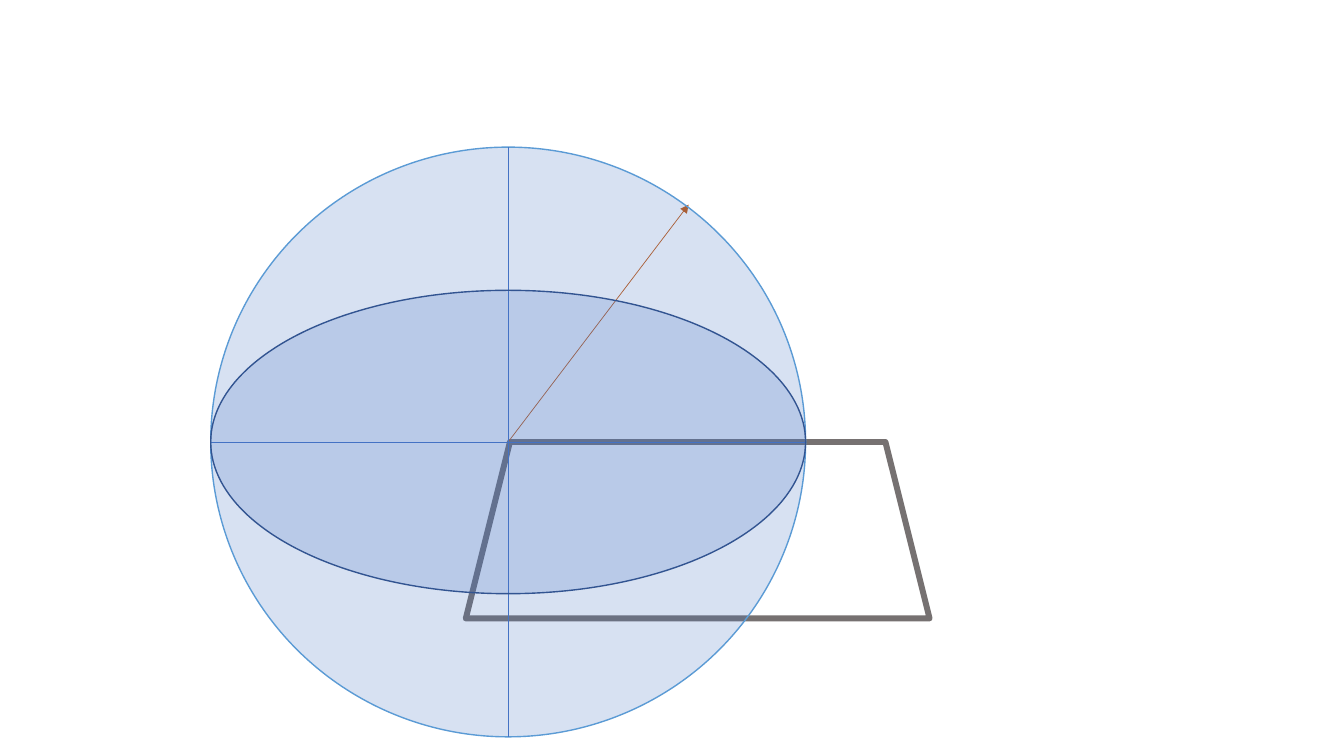
"""Build a slide with a sphere, its equator, a radius and a ground plane."""
from lxml import etree
from pptx import Presentation
from pptx.dml.color import RGBColor
from pptx.enum.shapes import MSO_CONNECTOR, MSO_SHAPE
from pptx.oxml.ns import qn
from pptx.util import Inches, Pt

ELLIPSE, TRAPEZOID = MSO_SHAPE.OVAL, MSO_SHAPE.TRAPEZOID
STRAIGHT = MSO_CONNECTOR.STRAIGHT
BLANK_LAYOUT = 6


def rgb(value):
    return RGBColor.from_string(value)


class Diagram:
    blue, sky, navy = "4472C4", "5B9BD5", "325491"
    orange, gray, white = "C55A11", "767171", "FFFFFF"
    thin, outline, thick = 0.5, 1, 4.25

    def __init__(self, slide):
        self.slide = slide

    def group(self):
        return self.slide.shapes.add_group_shape().shapes

    def format_line(self, item, color, width):
        item.line.color.rgb = rgb(color)
        item.line.width = Pt(width)

    def shape(self, kind, box, fill, color, width, alpha=None, parent=None):
        shapes = parent or self.slide.shapes
        s = shapes.add_shape(kind, *map(Inches, box))
        s.shadow.inherit = False
        s.fill.solid()
        s.fill.fore_color.rgb = rgb(fill)
        if alpha is not None:
            clr = s.fill._xPr.find(qn("a:solidFill"))[0]
            etree.SubElement(clr, qn("a:alpha"), val=str(alpha * 1000))
        self.format_line(s, color, width)
        return s

    def line(self, start, end, color, arrow=False, parent=None):
        shapes = parent or self.slide.shapes
        c = shapes.add_connector(STRAIGHT, *map(Inches, start + end))
        self.format_line(c, color, self.thin)
        if arrow:
            etree.SubElement(c.line._get_or_add_ln(), qn("a:tailEnd"), type="triangle")
        etree.SubElement(c._element.spPr, qn("a:effectLst"))
        return c


prs = Presentation()
prs.slide_width, prs.slide_height = Inches(13.33), Inches(7.5)
d = Diagram(prs.slides.add_slide(prs.slide_layouts[BLANK_LAYOUT]))

left, top, width, height = 2.09, 1.46, 5.9, 5.85
equator_height = 3.01
cx, cy = left + width / 2, top + height / 2

d.shape(TRAPEZOID, (4.62, cy, 4.6, 1.75), d.white, d.gray, d.thick)
d.line((cx, cy), (6.83, 2.03), d.orange, arrow=True)

sphere = d.group()
d.shape(ELLIPSE, (left, top, width, height), d.blue, d.sky, d.outline, 21, sphere)
d.line((left, cy), (left + width, cy), d.blue, parent=sphere)
d.line((cx, top), (cx, top + height), d.blue, parent=sphere)
d.shape(ELLIPSE, (left, cy - equator_height / 2, width, equator_height),
        d.blue, d.navy, d.outline, 20, sphere)

prs.save("out.pptx")
